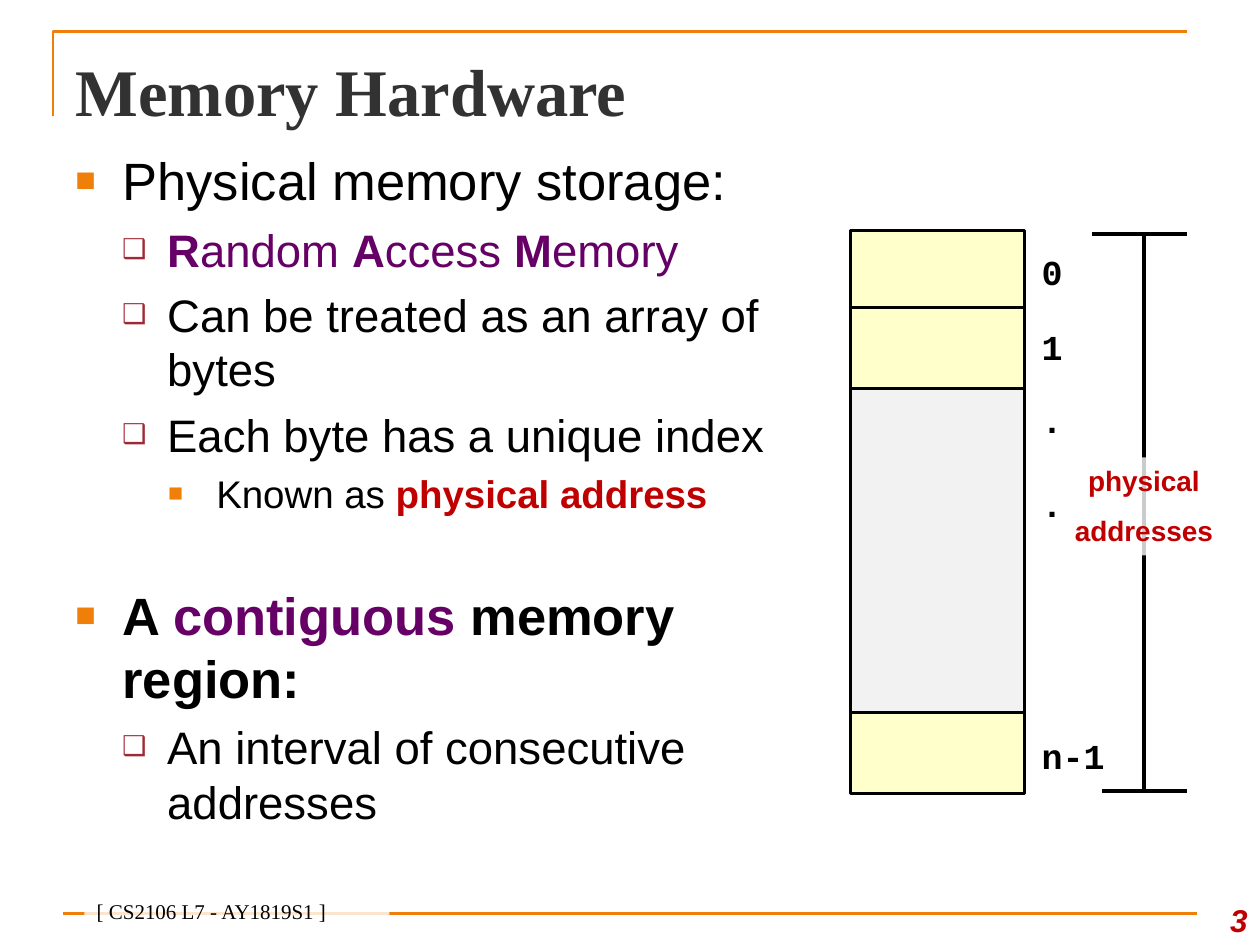
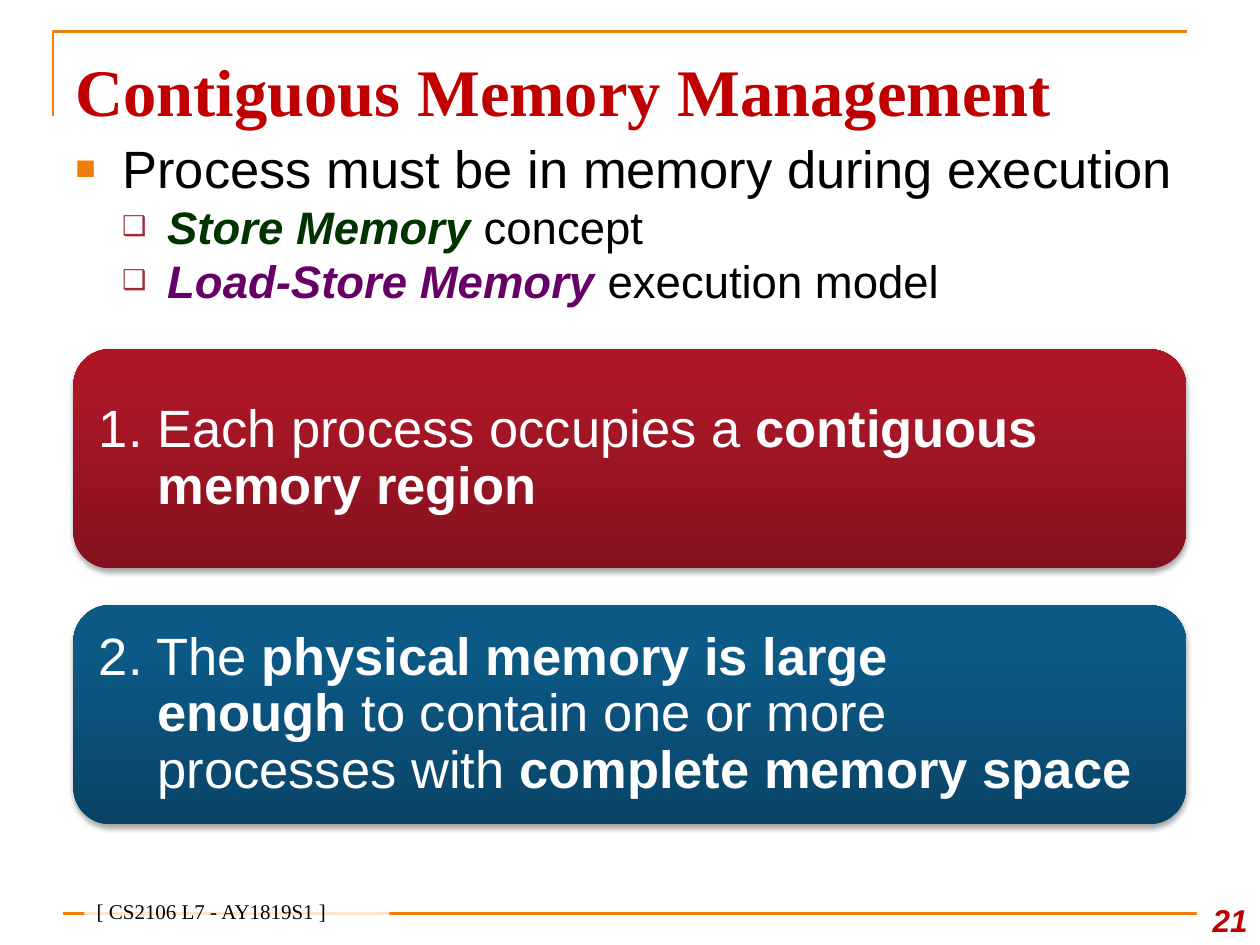
from collections import namedtuple

from lxml import etree
from pptx import Presentation
from pptx.dml.color import RGBColor
from pptx.enum.shapes import MSO_CONNECTOR, MSO_SHAPE
from pptx.enum.text import MSO_ANCHOR, MSO_AUTO_SIZE, PP_ALIGN
from pptx.oxml import parse_xml
from pptx.oxml.ns import nsdecls, qn
from pptx.util import Cm, Pt

STRAIGHT = MSO_CONNECTOR.STRAIGHT
RECTANGLE, ROUNDED = MSO_SHAPE.RECTANGLE, MSO_SHAPE.ROUNDED_RECTANGLE
TOP, MIDDLE, BOTTOM = MSO_ANCHOR.TOP, MSO_ANCHOR.MIDDLE, MSO_ANCHOR.BOTTOM
LEFT, CENTER, RIGHT = PP_ALIGN.LEFT, PP_ALIGN.CENTER, PP_ALIGN.RIGHT
NO_AUTOFIT = MSO_AUTO_SIZE.NONE

COLORS = {
    "orange": "F07F09", "maroon": "9F2936", "red": "C00000", "purple": "660066",
    "green": "003300", "charcoal": "323232", "black": "000000", "white": "FFFFFF",
    "cell": "FFFFCC", "gap": "F2F2F2",
}
GRADIENTS = {
    "red": ("84111E", "AB1727", "AF1425"),
    "blue": ("094467", "0C5986", "0A5A89"),
}
SANS, SERIF, MONO = "Arial", "Times New Roman", "Courier New"

Box = namedtuple("Box", "left top width height")
Level = namedtuple("Level", "size margin hanging bullet color percent")
Run = namedtuple("Run", "text color bold italic", defaults=("black", False, False))
Item = namedtuple("Item", "level runs gap", defaults=(None,))

LEVELS = (
    Level(30, 0.95, 0.95, "■", "orange", 65),
    Level(26, 1.85, 0.91, "❑", "maroon", 60),
    Level(22, 2.84, 0.97, "■", "orange", 65),
)
TITLE = Box(1.27, 0.76, 22.86, 1.98)
CORNER = Box(1.07, 0.64, 22.86, 1.7)
FOOTER = Box(1.27, 17.78, 24.13, 1.27)
FOOTER_TEXT = "[ CS2106 L7 - AY1819S1 ]"


def rgb(name):
    """Return the named colour."""
    return RGBColor.from_string(COLORS[name])


def place(shape, box):
    """Move a shape to a box in centimetres."""
    shape.left, shape.top, shape.width, shape.height = map(Cm, box)


def set_frame(frame, anchor, insets=(0.25, 0.13), wrap=True):
    """Set the anchor, wrapping and side and top insets of a text frame."""
    frame.auto_size = NO_AUTOFIT
    frame.word_wrap = wrap
    frame.vertical_anchor = anchor
    frame.margin_left = frame.margin_right = Cm(insets[0])
    frame.margin_top = frame.margin_bottom = Cm(insets[1])


def add_runs(paragraph, runs, size, font):
    """Add formatted runs, breaking lines at each newline."""
    for part in runs:
        for index, line in enumerate(part.text.split("\n")):
            if index:
                paragraph.add_line_break()
            run = paragraph.add_run()
            run.text = line
            run.font.name, run.font.size = font, Pt(size)
            run.font.bold, run.font.italic = part.bold, part.italic
            run.font.color.rgb = rgb(part.color)


def add_line(slide, start, end, color, weight):
    """Draw a straight line between two points in centimetres."""
    line = slide.shapes.add_connector(STRAIGHT, *map(Cm, start + end))
    line.line.color.rgb = rgb(color)
    line.line.width = Pt(weight)
    etree.SubElement(line._element.spPr, qn("a:effectLst"))


def add_rectangle(slide, box, fill, outline=None, opacity=None):
    """Draw a flat rectangle with an optional outline and opacity."""
    shape = slide.shapes.add_shape(RECTANGLE, *map(Cm, box))
    shape.shadow.inherit = False
    shape.fill.solid()
    shape.fill.fore_color.rgb = rgb(fill)
    if opacity:
        color = shape._element.spPr.find(qn("a:solidFill"))[0]
        etree.SubElement(color, qn("a:alpha"), val=str(opacity * 1000))
    if outline:
        shape.line.color.rgb = rgb(outline)
        shape.line.width = Pt(1.5)
    else:
        shape.line.fill.background()
    return shape


def add_label(slide, box, run, size, font, align=LEFT, anchor=TOP, wrap=True):
    """Add a one-line text box."""
    frame = slide.shapes.add_textbox(*map(Cm, box)).text_frame
    set_frame(frame, anchor, wrap=wrap)
    frame.paragraphs[0].alignment = align
    add_runs(frame.paragraphs[0], [run], size, font)


def draw_corner(slide, box):
    """Draw the angled rule around the title."""
    builder = slide.shapes.build_freeform(Cm(box.left), Cm(box.top + box.height))
    builder.add_line_segments(
        [(Cm(box.left), Cm(box.top)), (Cm(box.left + box.width), Cm(box.top))],
        close=False)
    corner = builder.convert_to_shape()
    corner.shadow.inherit = False
    corner.fill.background()
    corner.line.color.rgb = rgb("orange")
    corner.line.width = Pt(1.5)


def draw_footer(slide, box, number):
    """Draw the footer rule, course tag and page number."""
    rule = box.top + box.height / 2
    add_line(slide, (box.left, rule), (box.left + 22.86, rule), "orange", 1.5)
    add_label(slide, Box(box.left + box.width - 1.47, box.top, 1.47, box.height),
              Run(number, "red", True, True), 18, SANS, RIGHT, BOTTOM, wrap=False)
    tag = add_rectangle(slide, Box(box.left + 0.43, rule - 0.31, 6.15, 0.64),
                        "white", opacity=80)
    set_frame(tag.text_frame, BOTTOM)
    tag.text_frame.paragraphs[0].alignment = LEFT
    add_runs(tag.text_frame.paragraphs[0], [Run(FOOTER_TEXT)], 12, SERIF)


def start_slide(deck, title, color, number):
    """Add a slide with the shared title style, corner and footer."""
    slide = deck.slides.add_slide(deck.slide_layouts[1])
    draw_corner(slide, CORNER)
    draw_footer(slide, FOOTER, number)
    heading = slide.shapes.title
    place(heading, TITLE)
    set_frame(heading.text_frame, BOTTOM)
    heading.text_frame.paragraphs[0].alignment = LEFT
    add_runs(heading.text_frame.paragraphs[0], [Run(title, color, True)], 38, SERIF)
    return slide


def add_bullet(paragraph, level):
    """Give a paragraph the indents and bullet of its level."""
    props = paragraph._p.get_or_add_pPr()
    props.set("marL", str(Cm(level.margin)))
    props.set("indent", str(-Cm(level.hanging)))
    color = etree.SubElement(props, qn("a:buClr"))
    etree.SubElement(color, qn("a:srgbClr"), val=COLORS[level.color])
    etree.SubElement(props, qn("a:buSzPct"), val=str(level.percent * 1000))
    etree.SubElement(props, qn("a:buFont"), typeface=SANS)
    etree.SubElement(props, qn("a:buChar"), char=level.bullet)


def fill_outline(slide, box, items, spacing=1.0):
    """Fill the body placeholder with a bulleted outline."""
    body = slide.placeholders[1]
    place(body, box)
    frame = body.text_frame
    set_frame(frame, TOP, (0.25, 0.25))
    for index, item in enumerate(items):
        paragraph = frame.add_paragraph() if index else frame.paragraphs[0]
        level = LEVELS[item.level]
        paragraph.level = item.level
        add_bullet(paragraph, level)
        paragraph.line_spacing = spacing
        gap = item.gap or round(level.size * 0.23)
        paragraph.space_before = Pt(gap if index else 0)
        add_runs(paragraph, item.runs, level.size, SANS)


def draw_memory(slide, box):
    """Draw the memory column with an address beside each cell."""
    cell = 1.63
    for offset, height, fill in ((0, cell, "cell"), (3.12, 6.6, "gap"),
                                 (box.height - cell, cell, "cell"),
                                 (1.55, cell, "cell")):
        add_rectangle(slide, Box(box.left, box.top + offset, box.width, height),
                      fill, "black")
    for address, offset in (("0", 0.28), ("1", 1.78), (".", 3.25),
                            (".", 4.95), ("n-1", 10.03)):
        add_label(slide, Box(box.left + box.width + 0.1, box.top + offset, 2.1, 1.14),
                  Run(address, bold=True), 20, MONO, wrap=False)


def draw_address_span(slide, box):
    """Draw the bracket that spans all physical addresses."""
    right, bottom = box.left + box.width, box.top + box.height
    stem = box.left + 1.04
    for start, end in (((box.left, box.top), (right, box.top)),
                       ((box.left + 0.2, bottom), (right, bottom)),
                       ((stem, box.top), (stem, box.top + 3)),
                       ((stem, box.top), (stem, bottom))):
        add_line(slide, start, end, "black", 2.25)
    caption = add_rectangle(slide, Box(stem - 1.69, box.top + 4.5, 3.38, 1.98),
                            "white", opacity=80)
    frame = caption.text_frame
    set_frame(frame, TOP)
    for index, word in enumerate(("physical", "addresses")):
        paragraph = frame.add_paragraph() if index else frame.paragraphs[0]
        paragraph.alignment = CENTER
        paragraph.space_before = Pt(9 * index)
        add_runs(paragraph, [Run(word, "red", True)], 16, SANS)


def draw_assumption(slide, box, gradient, runs):
    """Draw one shaded panel with a numbered assumption."""
    panel = slide.shapes.add_shape(ROUNDED, *map(Cm, box))
    panel.line.fill.background()
    stops = "".join(
        f'<a:gs pos="{position * 1000}"><a:srgbClr val="{color}"/></a:gs>'
        for position, color in zip((0, 80, 100), GRADIENTS[gradient]))
    props = panel._element.spPr
    props.find(qn("a:ln")).addprevious(parse_xml(
        f'<a:gradFill {nsdecls("a")} rotWithShape="1"><a:gsLst>{stops}</a:gsLst>'
        '<a:lin ang="16200000" scaled="0"/></a:gradFill>'))
    props.append(parse_xml(
        f'<a:effectLst {nsdecls("a")}><a:outerShdw blurRad="{Pt(3.1)}" '
        f'dist="{Pt(1.8)}" dir="5400000" rotWithShape="0">'
        f'<a:srgbClr val="{COLORS["black"]}"><a:alpha val="35000"/></a:srgbClr>'
        '</a:outerShdw></a:effectLst>'))
    set_frame(panel.text_frame, MIDDLE, (0.3, 0.3))
    paragraph = panel.text_frame.paragraphs[0]
    paragraph.alignment = LEFT
    paragraph.line_spacing = 0.9
    indents = paragraph._p.get_or_add_pPr()
    indents.set("marL", str(Cm(1.18)))
    indents.set("indent", str(-Cm(1.18)))
    add_runs(paragraph, runs, 30, SANS)


def build_hardware(deck):
    """Build the slide on memory hardware."""
    slide = start_slide(deck, "Memory Hardware", "charcoal", "3")
    acronym = [Run(text, "purple", len(text) == 1)
               for text in ("R", "andom ", "A", "ccess ", "M", "emory")]
    fill_outline(slide, Box(1.27, 2.74, 15.67, 15.24), (
        Item(0, [Run("Physical memory storage:")]),
        Item(1, acronym),
        Item(1, [Run("Can be treated as an array of bytes")]),
        Item(1, [Run("Each byte has a unique index")]),
        Item(2, [Run("Known as "), Run("physical address", "red", True)]),
        Item(0, [Run("A ", bold=True), Run("contiguous", "purple", True),
                 Run(" memory region:", bold=True)], 38),
        Item(1, [Run("An interval of consecutive addresses")]),
    ))
    draw_memory(slide, Box(17.15, 4.65, 3.5, 11.35))
    draw_address_span(slide, Box(22.02, 4.72, 1.91, 11.23))


def build_management(deck):
    """Build the slide on contiguous memory management."""
    slide = start_slide(deck, "Contiguous Memory Management", "red", "21")
    fill_outline(slide, Box(1.27, 2.74, 22.86, 3.81), (
        Item(0, [Run("Process must be in memory during execution")]),
        Item(1, [Run("Store Memory ", "green", True, True), Run("concept")]),
        Item(1, [Run("Load-Store Memory", "purple", True, True),
                 Run(" execution model")]),
    ), spacing=0.8)
    assumptions = (
        ("red", (Run("1. Each process occupies a ", "white"),
                 Run("contiguous\nmemory region", "white", True))),
        ("blue", (Run("2. The ", "white"),
                  Run("physical memory is large\nenough ", "white", True),
                  Run("to contain one or more\nprocesses with ", "white"),
                  Run("complete memory space", "white", True))),
    )
    for index, (gradient, runs) in enumerate(assumptions):
        draw_assumption(slide, Box(1.48, 7.04 + 5.16 * index, 22.43, 4.42),
                        gradient, runs)


def main():
    """Build and save the deck."""
    deck = Presentation()
    deck.slide_width, deck.slide_height = Cm(25.4), Cm(19.05)
    build_hardware(deck)
    build_management(deck)
    deck.save("out.pptx")


if __name__ == "__main__":
    main()
